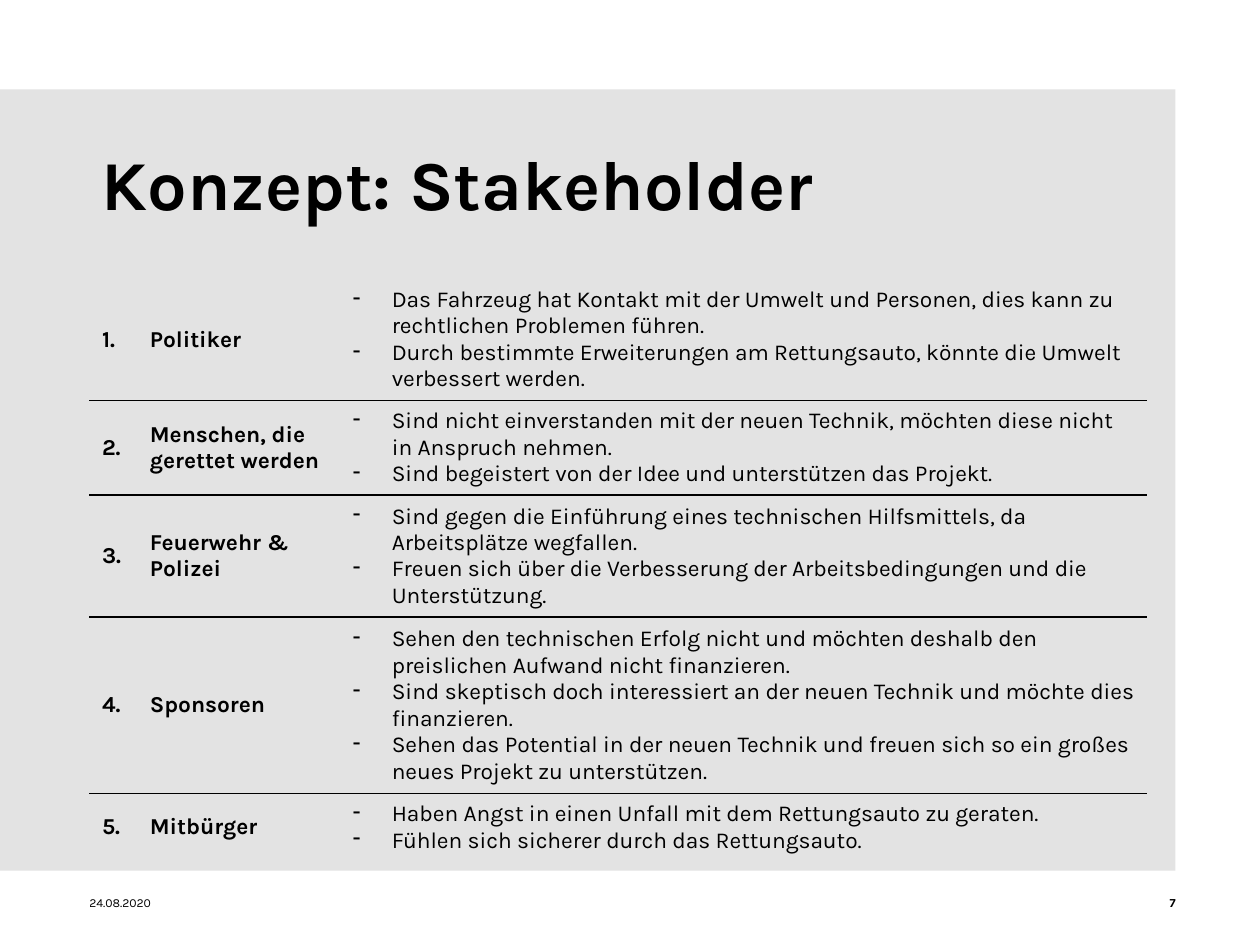
import dataclasses

import lxml.etree
import pptx
import pptx.dml.color
import pptx.enum.shapes
import pptx.enum.text
import pptx.oxml
import pptx.oxml.ns
import pptx.util

ALIGN = pptx.enum.text.PP_ALIGN
ANCHOR = pptx.enum.text.MSO_ANCHOR


@dataclasses.dataclass(frozen=True)
class Theme:
    font: str = "Karla"
    ink: str = "000000"
    panel: str = "E3E3E3"
    title: int = 40
    body: int = 13
    foot: int = 7
    rule: int = 1


@dataclasses.dataclass(frozen=True)
class Box:
    left: float
    top: float
    width: float
    height: float

    def area(self, x, y, w, h):
        return Box(self.left + self.width * x / 100, self.top + self.height * y / 100,
                   self.width * w / 100, self.height * h / 100)

    def emu(self):
        return [pptx.util.Inches(n) for n in (self.left, self.top, self.width, self.height)]


THEME = Theme()
PAGE = Box(0, 0, 10, 7.5)
COLS = (0.38, 1.61, 6.4)
PAD = 0.48
PLAIN = "{2D5ABB26-0587-4C30-8999-92F81FD0307C}"
GROUPS = [
    ("Politiker", 4, [
        "Das Fahrzeug hat Kontakt mit der Umwelt und Personen, dies kann zu rechtlichen Problemen führen.",
        "Durch bestimmte Erweiterungen am Rettungsauto, könnte die Umwelt verbessert werden."]),
    ("Menschen, die gerettet werden", 3, [
        "Sind nicht einverstanden mit der neuen Technik, möchten diese nicht in Anspruch nehmen.",
        "Sind begeistert von der Idee und unterstützen das Projekt."]),
    ("Feuerwehr & Polizei", 4, [
        "Sind gegen die Einführung eines technischen Hilfsmittels, da Arbeitsplätze wegfallen.",
        "Freuen sich über die Verbesserung der Arbeitsbedingungen und die Unterstützung."]),
    ("Sponsoren", 6, [
        "Sehen den technischen Erfolg nicht und möchten deshalb den preislichen Aufwand nicht finanzieren.",
        "Sind skeptisch doch interessiert an der neuen Technik und möchte dies finanzieren.",
        "Sehen das Potential in der neuen Technik und freuen sich so ein großes neues Projekt zu unterstützen."]),
    ("Mitbürger", 2, [
        "Haben Angst in einen Unfall mit dem Rettungsauto zu geraten.",
        "Fühlen sich sicherer durch das Rettungsauto."]),
]


def tint(code):
    return pptx.dml.color.RGBColor.from_string(code)


def style(frame, size, bold=False, align=ALIGN.LEFT):
    for para in frame.paragraphs:
        para.alignment = align
        for run in para.runs:
            run.font.name = THEME.font
            run.font.size = pptx.util.Pt(size)
            run.font.bold = bold
            run.font.color.rgb = tint(THEME.ink)


def label(slide, box, text, size, bold=False, align=ALIGN.LEFT, inset=0):
    frame = slide.shapes.add_textbox(*box.emu()).text_frame
    frame.word_wrap = True
    frame.vertical_anchor = ANCHOR.MIDDLE
    frame.margin_left = frame.margin_right = pptx.util.Inches(inset)
    frame.margin_top = frame.margin_bottom = 0
    frame.text = text
    style(frame, size, bold, align)


def panel(slide, box):
    shape = slide.shapes.add_shape(pptx.enum.shapes.MSO_SHAPE.RECTANGLE, *box.emu())
    shape.shadow.inherit = False
    shape.fill.solid()
    shape.fill.fore_color.rgb = tint(THEME.panel)
    shape.line.fill.background()


def dash(para):
    props = para._p.get_or_add_pPr()
    props.set("marL", str(pptx.util.Inches(0.31)))
    props.set("indent", str(-pptx.util.Inches(0.31)))
    lxml.etree.SubElement(props, pptx.oxml.ns.qn("a:buChar")).set("char", "-")


def rule(cell):
    line = pptx.oxml.parse_xml(
        f'<a:lnB {pptx.oxml.ns.nsdecls("a")} w="{pptx.util.Pt(THEME.rule)}">'
        f'<a:solidFill><a:srgbClr val="{THEME.ink}"/></a:solidFill></a:lnB>')
    cell._tc.get_or_add_tcPr().insert(0, line)


def matrix(slide, box):
    table = slide.shapes.add_table(len(GROUPS), len(COLS), *box.emu()).table
    table.first_row = table.horz_banding = False
    table._tbl.tblPr.find(pptx.oxml.ns.qn("a:tableStyleId")).text = PLAIN
    for col, share in zip(table.columns, COLS):
        col.width = pptx.util.Inches(box.width * share / sum(COLS))
    total = sum(lines + PAD for _, lines, _ in GROUPS)
    for num, (name, lines, notes) in enumerate(GROUPS):
        row = table.rows[num]
        row.height = pptx.util.Inches(box.height * (lines + PAD) / total)
        for col, text in enumerate((f"{num + 1}.", name, "\n".join(notes))):
            cell = row.cells[col]
            cell.fill.background()
            cell.vertical_anchor = ANCHOR.MIDDLE
            cell.text_frame.text = text
            if col == 2:
                for para in cell.text_frame.paragraphs:
                    dash(para)
            style(cell.text_frame, THEME.body, col < 2)
            if num < len(GROUPS) - 1:
                rule(cell)


def footer(slide, box):
    label(slide, box.area(0, 0, 27, 100), "24.08.2020", THEME.foot)
    label(slide, box.area(73, 0, 27, 100), "7", THEME.foot, True, ALIGN.RIGHT)


def main():
    deck = pptx.Presentation()
    deck.slide_width = pptx.util.Inches(PAGE.width)
    deck.slide_height = pptx.util.Inches(PAGE.height)
    slide = deck.slides.add_slide(deck.slide_layouts[6])
    panel(slide, PAGE.area(0, 9.47, 93.3, 82.67))
    label(slide, PAGE.area(7.1, 10.93, 83.9, 16.67), "Konzept: Stakeholder",
          THEME.title, True, inset=0.1)
    matrix(slide, PAGE.area(7.1, 29.47, 83.9, 59.87))
    footer(slide, PAGE.area(7.1, 94.67, 86.2, 1.6))
    deck.save("out.pptx")


if __name__ == "__main__":
    main()
